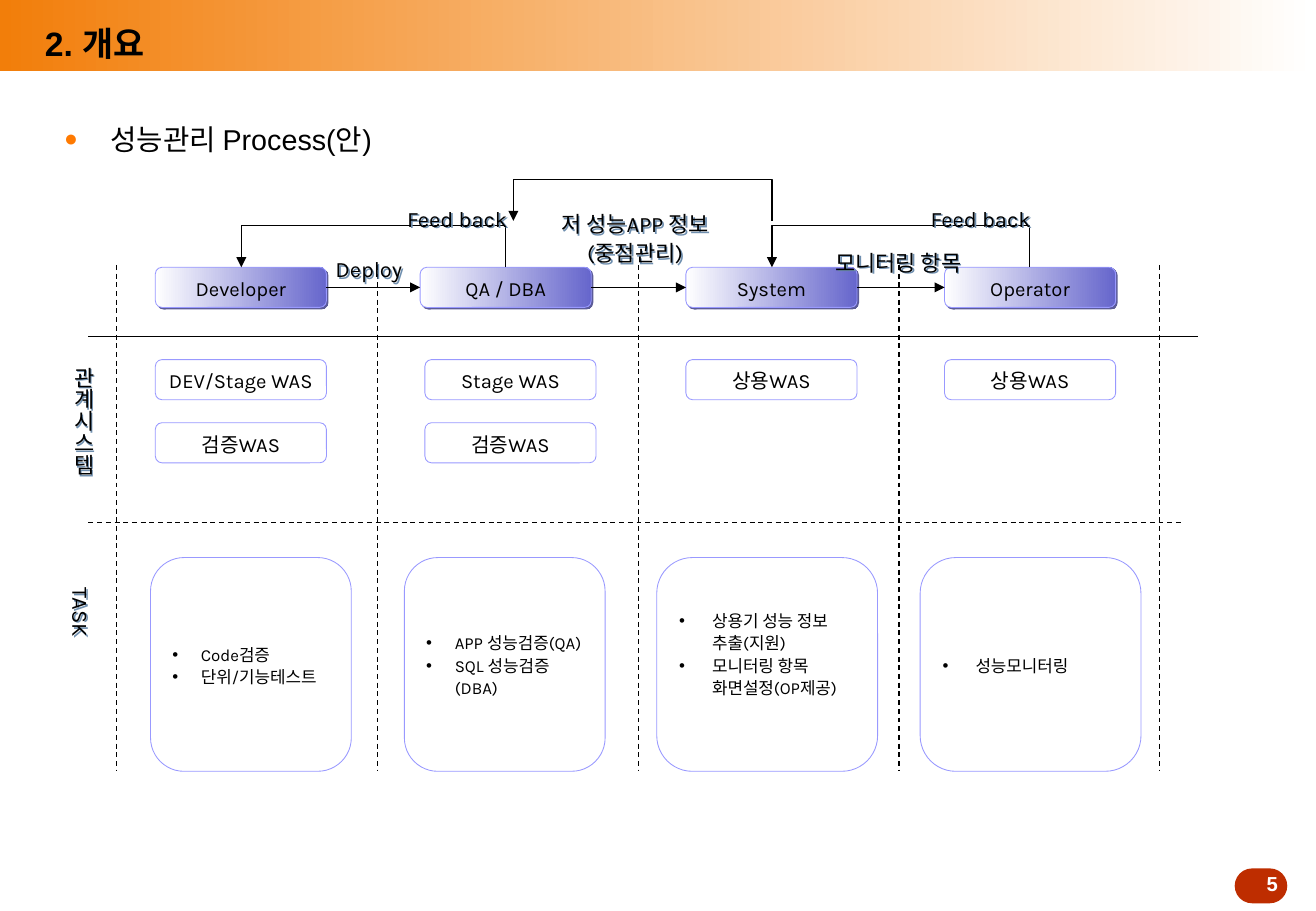
import pptx
import pptx.util
import pptx.dml.color
import pptx.enum.dml
import pptx.enum.shapes
import pptx.enum.text
import pptx.oxml
import pptx.oxml.ns
import lxml.etree

Cm, Pt = pptx.util.Cm, pptx.util.Pt
SHAPE = pptx.enum.shapes.MSO_SHAPE
ALIGN = pptx.enum.text.PP_ALIGN
ANCHOR = pptx.enum.text.MSO_ANCHOR

COLORS = {"black": "000000", "white": "FFFFFF", "orange": "F27E0A", "bullet": "FF7A01",
          "red": "BE2D00", "outline": "9999FF", "purple": "6666CC",
          "box_shadow": "5B5B98", "text_shadow": "6F8FAF"}

TITLE = "2. 개요"
SUBJECT = "성능관리 Process(안)"
PAGE = "5"

# Lengths in cm. Role: name, left
ROLES = [("Developer", 3.25), ("QA / DBA", 8.79), ("System", 14.35), ("Operator", 19.76)]
# Left, related systems
SYSTEMS = [(3.25, ["DEV/Stage WAS", "검증WAS"]), (8.89, ["Stage WAS", "검증WAS"]),
           (14.35, ["상용WAS"]), (19.76, ["상용WAS"])]
# Left, width, hanging indent, bottom inset, tasks
TASKS = [
    (3.15, 4.2, 0.6, 0.13, ["Code검증", "단위/기능테스트"]),
    (8.46, 4.2, 0.6, 0.13, ["APP 성능검증(QA)", "SQL 성능검증(DBA)"]),
    (13.74, 4.62, 0.69, 0.6, ["상용기 성능 정보 추출(지원)", "모니터링 항목 화면설정(OP제공)"]),
    (19.25, 4.62, 0.69, 0.13, ["성능모니터링"]),
]
# Lines, left, top, width, height
LABELS = [
    (["Deploy"], 6.71, 5.16, 2.01, 0.86),
    (["Feed back"], 8.23, 4.11, 2.67, 0.86),
    (["저 성능APP 정보", "(중점관리)"], 11.33, 4.22, 3.91, 1.47),
    (["모니터링 항목"], 17.22, 5.03, 3.15, 0.86),
    (["Feed back"], 19.18, 4.11, 2.67, 0.86),
]
ROW_LABELS = [(["관계시스템"], 1.09, 7.42, 1.12, 2.54), (["TASK"], 1.04, 12.04, 1.12, 1.35)]
# From x, to x, bottom
FEEDBACKS = [(10.57, 5.05, 5.59), (21.54, 16.15, 5.59), (16.15, 10.74, 4.62)]
FEEDBACK_RISE = 0.87

BOX_W, BOX_H = 3.58, 0.84
ROLE_Y, SYSTEM_Y, SYSTEM_STEP = 5.59, 7.52, 1.32
TASK_Y, TASK_H = 11.66, 4.47
GRID_X, GRID_STEP, GRID_TOP, GRID_BOTTOM = 2.44, 5.455, 5.54, 16.13

prs = pptx.Presentation()
prs.slide_width, prs.slide_height = Cm(27.53), Cm(19.05)
slide = prs.slides.add_slide(prs.slide_layouts[6])
shapes = slide.shapes


def rgb(name):
    return pptx.dml.color.RGBColor.from_string(COLORS[name])


def set_all(obj, **values):
    for name, value in values.items():
        setattr(obj, name, value)


def sub(parent, tag, **attrs):
    el = lxml.etree.SubElement(parent, pptx.oxml.ns.qn(tag))
    for name, value in attrs.items():
        el.set(name, str(value))
    return el


def add_shadow(sp, color):
    """Give a hard shadow to the lower right; an unfilled box casts it from its text."""
    sp.shadow.inherit = False
    effects = sp._element.spPr.find(pptx.oxml.ns.qn("a:effectLst"))
    outer = sub(effects, "a:outerShdw", dist=Pt(1.4), dir=45 * 60000, algn="ctr", rotWithShape=0)
    sub(outer, "a:srgbClr", val=COLORS[color])


def add_bullet(p, char, color, hang, size=100):
    pPr = p._p.get_or_add_pPr()
    pPr.set("marL", str(Cm(hang)))
    pPr.set("indent", str(-Cm(hang)))
    sub(sub(pPr, "a:buClr"), "a:srgbClr", val=COLORS[color])
    sub(pPr, "a:buSzPct", val=size * 1000)
    sub(pPr, "a:buFont", typeface="Arial")
    sub(pPr, "a:buChar", char=char)


def write(sp, lines, size, font="Karla", color="black", bold=False, align=ALIGN.CENTER,
          spacing=1.1, wrap=False, anchor=ANCHOR.MIDDLE, bullet=None):
    tf = sp.text_frame
    set_all(tf, word_wrap=wrap, vertical_anchor=anchor, margin_left=Cm(0.25),
            margin_right=Cm(0.25), margin_top=Cm(0.13), margin_bottom=Cm(0.13))
    for i, line in enumerate(lines):
        p = tf.paragraphs[0] if i == 0 else tf.add_paragraph()
        set_all(p, alignment=align, line_spacing=spacing)
        if bullet:
            add_bullet(p, *bullet)
        r = p.add_run()
        r.text = line
        set_all(r.font, name=font, size=Pt(size), bold=bold)
        r.font.color.rgb = rgb(color)


def add_box(x, y, w, h, kind=SHAPE.ROUNDED_RECTANGLE, fill=None, line=None):
    """Add a shape; fill is None, one colour, or a left and right colour."""
    sp = shapes.add_shape(kind, Cm(x), Cm(y), Cm(w), Cm(h))
    sp.shadow.inherit = False
    if fill is None:
        sp.fill.background()
    elif isinstance(fill, str):
        sp.fill.solid()
        sp.fill.fore_color.rgb = rgb(fill)
    else:
        sp.fill.gradient()
        sp.fill.gradient_angle = 0
        for stop, name in zip(sp.fill.gradient_stops, fill):
            stop.color.rgb = rgb(name)
    if line:
        sp.line.color.rgb = rgb(line)
        sp.line.width = Pt(0.5)
    else:
        sp.line.fill.background()
    return sp


def add_text(x, y, w, h, lines, size, **style):
    sp = shapes.add_textbox(Cm(x), Cm(y), Cm(w), Cm(h))
    write(sp, lines, size, **style)
    return sp


def style_line(sp, dashed=False, arrow=False):
    sp.line.color.rgb = rgb("black")
    sp.line.width = Pt(0.75)
    if dashed:
        sp.line.dash_style = pptx.enum.dml.MSO_LINE.DASH
    if arrow:
        sub(sp.line._get_or_add_ln(), "a:tailEnd", type="triangle")


def add_line(x1, y1, x2, y2, **style):
    cx = shapes.add_connector(pptx.enum.shapes.MSO_CONNECTOR.STRAIGHT,
                              Cm(x1), Cm(y1), Cm(x2), Cm(y2))
    style_line(cx, **style)
    sub(cx._element.spPr, "a:effectLst")


def add_feedback(x1, x2, bottom):
    top = bottom - FEEDBACK_RISE
    fb = shapes.build_freeform(Cm(x1), Cm(bottom))
    fb.add_line_segments([(Cm(x1), Cm(top)), (Cm(x2), Cm(top)), (Cm(x2), Cm(bottom))], close=False)
    sp = fb.convert_to_shape()
    sp.shadow.inherit = False
    sp.fill.background()
    style_line(sp, arrow=True)


def main():
    add_box(0, 0, 27.53, 1.48, SHAPE.RECTANGLE, fill=("orange", "white"))
    page = add_box(25.83, 18.16, 1.1, 0.73, fill="red")
    page.adjustments[0] = 0.5
    add_text(25.7, 18.1, 1.83, 0.76, [PAGE], 12, font="Arial", color="white", bold=True, spacing=1)
    left = {"font": "Arial", "align": ALIGN.LEFT, "wrap": True}
    add_text(0.69, 0.43, 25.02, 1.04, [TITLE], 20, bold=True, spacing=0.9, **left)
    add_text(1.09, 2.41, 25.45, 1.4, [SUBJECT], 17, spacing=1, anchor=ANCHOR.TOP,
             bullet=("●", "bullet", 0.97, 80), **left)

    add_line(1.85, 7.04, 25.07, 7.04)
    add_line(1.85, 10.92, 24.77, 10.92, dashed=True)
    for i in range(len(ROLES) + 1):
        x = GRID_X + i * GRID_STEP
        add_line(x, GRID_TOP, x, GRID_BOTTOM, dashed=True)

    for name, x in ROLES:
        sp = add_box(x, ROLE_Y, BOX_W, BOX_H, fill=("white", "purple"), line="outline")
        add_shadow(sp, "box_shadow")
        write(sp, [name], 12)
    arrow_y = ROLE_Y + BOX_H / 2
    for (_, x1), (_, x2) in zip(ROLES, ROLES[1:]):
        add_line(x1 + BOX_W, arrow_y, x2, arrow_y, arrow=True)
    for feedback in FEEDBACKS:
        add_feedback(*feedback)

    for x, names in SYSTEMS:
        for i, name in enumerate(names):
            write(add_box(x, SYSTEM_Y + i * SYSTEM_STEP, BOX_W, BOX_H, line="outline"), [name], 12)
    for x, w, hang, inset, tasks in TASKS:
        sp = add_box(x, TASK_Y, w, TASK_H, line="outline")
        write(sp, tasks, 10, align=ALIGN.LEFT, wrap=True, bullet=("•", "black", hang))
        sp.text_frame.margin_bottom = Cm(inset)

    for lines, *place in LABELS:
        add_shadow(add_text(*place, lines, 13, anchor=ANCHOR.TOP), "text_shadow")
    for lines, *place in ROW_LABELS:
        sp = add_text(*place, lines, 13, anchor=ANCHOR.TOP)
        add_shadow(sp, "text_shadow")
        set_all(sp.text_frame, margin_left=Cm(0.13), margin_right=Cm(0.13),
                margin_top=Cm(0.25), margin_bottom=Cm(0.25))
        sp.text_frame._txBody.bodyPr.set("vert", "eaVert")

    prs.save("out.pptx")


if __name__ == "__main__":
    main()
